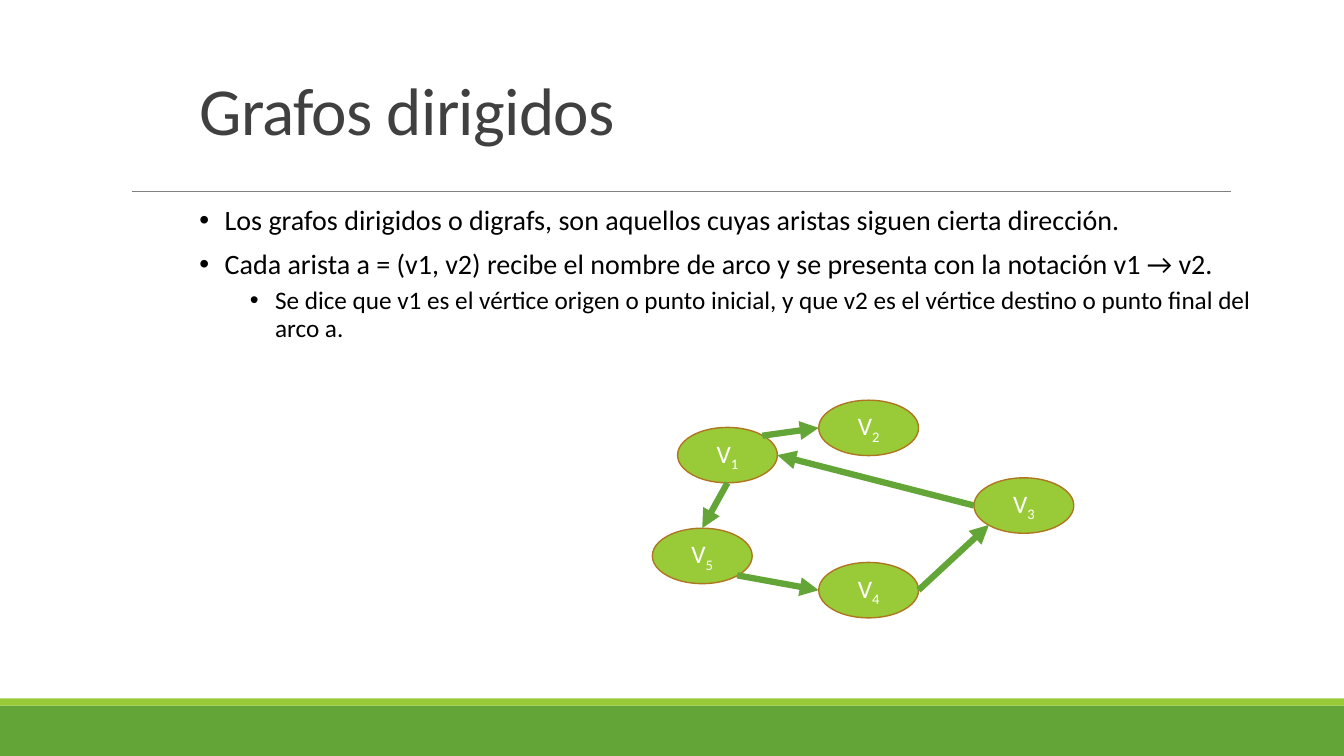
from pptx import Presentation
from pptx.dml.color import RGBColor
from pptx.enum.shapes import MSO_CONNECTOR, MSO_SHAPE
from pptx.enum.text import MSO_ANCHOR, PP_ALIGN
from pptx.oxml.ns import qn
from pptx.util import Inches, Pt
from lxml.etree import SubElement

COLORS = {
    "green": "63A537",
    "lime": "99CB38",
    "brown": "AF7621",
    "gray": "808080",
    "title": "404040",
    "body": "000000",
    "white": "FFFFFF",
}


def style_span(span, size, color):
    span.font.name = "Calibri"
    span.font.size = Pt(size)
    span.font.color.rgb = RGBColor.from_string(COLORS[color])


def add_line(start, end, color, width):
    line = page.shapes.add_connector(
        MSO_CONNECTOR.STRAIGHT, *[Inches(value) for value in (*start, *end)]
    )
    line.line.color.rgb = RGBColor.from_string(COLORS[color])
    line.line.width = Pt(width)
    SubElement(line._element.spPr, qn("a:effectLst"))
    return line


deck = Presentation()
deck.slide_width = Inches(13.33)
deck.slide_height = Inches(7.5)
page = deck.slides.add_slide(deck.slide_layouts[6])

for top, height, color in [(7, 0.5, "green"), (6.93, 0.07, "lime")]:
    band = page.shapes.add_shape(
        MSO_SHAPE.RECTANGLE, 0, Inches(top), deck.slide_width, Inches(height)
    )
    band.shadow.inherit = False
    band.fill.solid()
    band.fill.fore_color.rgb = RGBColor.from_string(COLORS[color])
    band.line.fill.background()

add_line((1.31, 1.9), (12.21, 1.9), "gray", 0.5)

title_box = page.shapes.add_textbox(Inches(1.88), Inches(0.4), Inches(10.91), Inches(1.45))
title_box.text_frame.word_wrap = True
title_box.text_frame.vertical_anchor = MSO_ANCHOR.MIDDLE
title_box.text_frame.text = "Grafos dirigidos"
title = title_box.text_frame.paragraphs[0]
title.line_spacing = 0.9
style_span(title.runs[0], 48, "title")
title.runs[0].font._element.set("spc", "-50")

body_box = page.shapes.add_textbox(Inches(1.88), Inches(2), Inches(10.91), Inches(4.76))
body_box.text_frame.word_wrap = True
bullets = [
    (0, 20, 0, "Los grafos dirigidos o digrafs, son aquellos cuyas aristas siguen cierta dirección."),
    (0, 20, 10, "Cada arista a = (v1, v2) recibe el nombre de arco y se presenta con la notación v1 → v2."),
    (1, 18, 5, "Se dice que v1 es el vértice origen o punto inicial, y que v2 es el vértice destino o punto final del arco a."),
]
body_box.text_frame.text = "\n".join(text for *_, text in bullets)
for para, (level, size, space, _) in zip(body_box.text_frame.paragraphs, bullets):
    para.level = level
    para.line_spacing = 0.9
    para.space_before = Pt(space)
    style_span(para.runs[0], size, "body")
    properties = para._element.get_or_add_pPr()
    properties.set("marL", str(Inches(0.25 + 0.5 * level)))
    properties.set("indent", str(Inches(-0.25)))
    SubElement(properties, qn("a:buFont"), typeface="Arial")
    SubElement(properties, qn("a:buChar"), char="•")

NODE_WIDTH, NODE_HEIGHT = 0.99, 0.55
nodes = {
    "3": (9.66, 4.74),
    "1": (6.72, 4.24),
    "2": (8.12, 3.97),
    "4": (8.12, 5.58),
    "5": (6.47, 5.24),
}
for number, (left, top) in nodes.items():
    node = page.shapes.add_shape(
        MSO_SHAPE.OVAL, Inches(left), Inches(top), Inches(NODE_WIDTH), Inches(NODE_HEIGHT)
    )
    node.shadow.inherit = False
    node.fill.solid()
    node.fill.fore_color.rgb = RGBColor.from_string(COLORS["lime"])
    node.line.color.rgb = RGBColor.from_string(COLORS["brown"])
    node.line.width = Pt(1)
    node.text_frame.vertical_anchor = MSO_ANCHOR.MIDDLE
    node.text_frame.text = "V"
    label = node.text_frame.paragraphs[0]
    label.alignment = PP_ALIGN.CENTER
    subscript = label.add_run()
    subscript.text = number
    for span in label.runs:
        style_span(span, 18, "white")
    subscript.font._element.set("baseline", "-25000")

sites = {
    "left": (0, 0.5),
    "right": (1, 0.5),
    "top": (0.5, 0),
    "bottom": (0.5, 1),
    "top right": (0.85, 0.15),
    "bottom right": (0.85, 0.85),
    "bottom left": (0.15, 0.85),
}
arcs = [
    ("1", "top right", "2", "left"),
    ("3", "left", "1", "right"),
    ("1", "bottom", "5", "top"),
    ("5", "bottom right", "4", "left"),
    ("4", "right", "3", "bottom left"),
]
for source, source_site, target, target_site in arcs:
    start, end = [
        (
            nodes[number][0] + NODE_WIDTH * sites[site][0],
            nodes[number][1] + NODE_HEIGHT * sites[site][1],
        )
        for number, site in [(source, source_site), (target, target_site)]
    ]
    arc = add_line(start, end, "green", 4.5)
    SubElement(arc.line._get_or_add_ln(), qn("a:tailEnd"), type="triangle")

deck.save("out.pptx")
